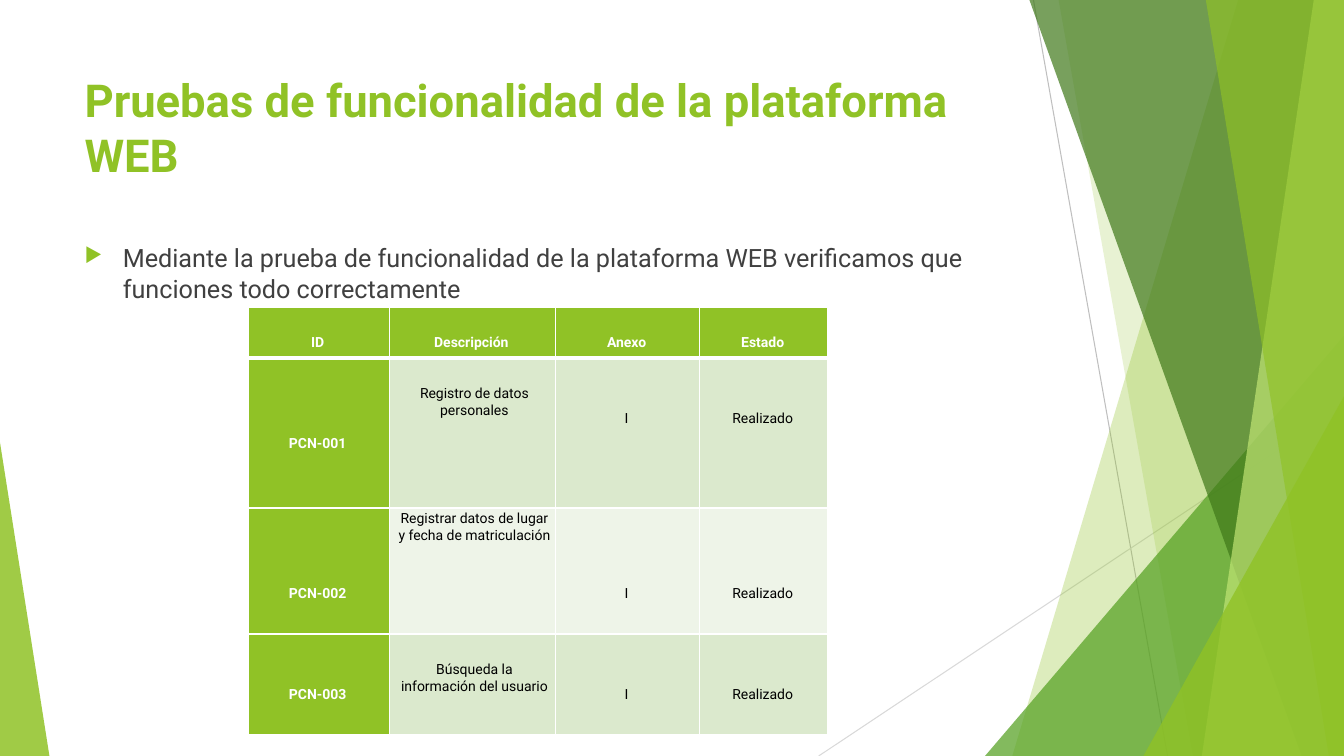
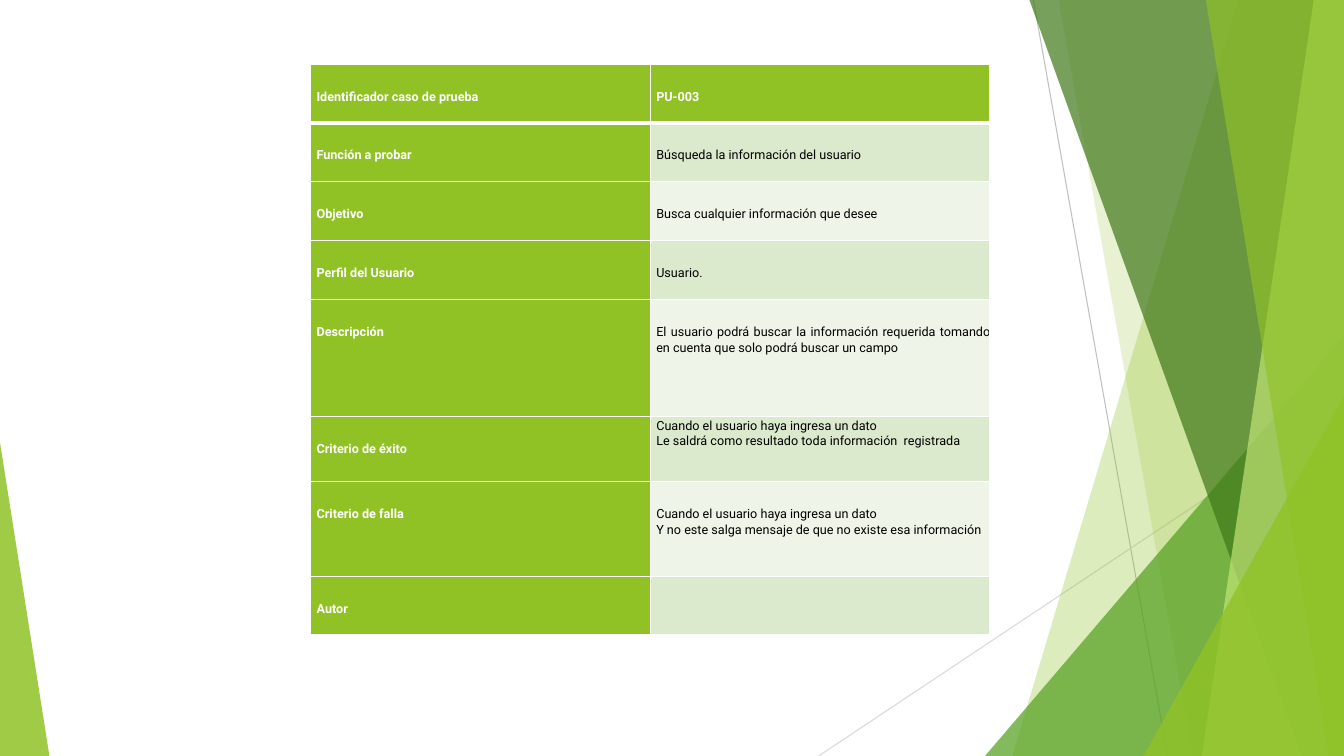
from lxml import etree
from pptx import Presentation
from pptx.dml.color import RGBColor
from pptx.enum.shapes import MSO_CONNECTOR, MSO_SHAPE
from pptx.enum.text import MSO_ANCHOR, PP_ALIGN
from pptx.oxml.ns import qn
from pptx.util import Inches, Pt

FONT = "Roboto"
WHITE = RGBColor(0xFF, 0xFF, 0xFF)
BLACK = RGBColor(0x00, 0x00, 0x00)
TEXT_GRAY = RGBColor(0x40, 0x40, 0x40)
LINE_GRAY = RGBColor(0xBF, 0xBF, 0xBF)
LIGHT_GRAY = RGBColor(0xD9, 0xD9, 0xD9)
LIME = RGBColor(0x90, 0xC2, 0x26)
PALE_LIME = RGBColor(0xC0, 0xE4, 0x74)
GREEN = RGBColor(0x54, 0xA0, 0x21)
DARK_GREEN = RGBColor(0x3F, 0x78, 0x19)
BAND_COLORS = (RGBColor(0xDB, 0xE9, 0xCD), RGBColor(0xEE, 0xF4, 0xE8))

WIDTH, HEIGHT = 13.33, 7.5

# Thin lines: start, end, colour
LINES = [
    ((10.25, 0), (11.58, HEIGHT), LINE_GRAY),
    ((WIDTH, 4.03), (8.12, HEIGHT), LIGHT_GRAY),
]
# Facets from back to front: geometry, colour, opacity in percent.
# Two numbers: top and bottom x of a band that reaches the right edge.
# Four numbers: left, top, width and apex position of a triangle on the bottom edge.
FACETS = [
    ((12.28, 10.04), LIME, 30),
    ((10.5, 11.83), LIME, 20),
    ((9.77, 3.33, 3.56, 1), GREEN, 72),
    ((10.21, 12.91), DARK_GREEN, 70),
    ((13.03, 11.92), PALE_LIME, 70),
    ((11.96, 13.18), LIME, 65),
    ((11.34, 3.93, 1.99, 1), LIME, 80),
    ((0, 4.39, 0.49, 0), LIME, 85),
]


def add_background(slide):
    for start, end, color in LINES:
        line = slide.shapes.add_connector(
            MSO_CONNECTOR.STRAIGHT, *[Inches(value) for value in start + end])
        line.line.color.rgb = color
        line.line.width = Pt(0.75)
        etree.SubElement(line._element.spPr, qn("a:effectLst"))
    for geometry, color, opacity in FACETS:
        if len(geometry) == 2:
            top_x, bottom_x = geometry
            builder = slide.shapes.build_freeform(Inches(top_x), 0)
            corners = [(WIDTH, 0), (WIDTH, HEIGHT), (bottom_x, HEIGHT)]
            builder.add_line_segments([(Inches(x), Inches(y)) for x, y in corners])
            shape = builder.convert_to_shape()
        else:
            left, top, width, apex = geometry
            shape = slide.shapes.add_shape(
                MSO_SHAPE.ISOSCELES_TRIANGLE, Inches(left), Inches(top),
                Inches(width), Inches(HEIGHT - top))
            shape.adjustments[0] = apex
        shape.shadow.inherit = False
        shape.line.fill.background()
        shape.fill.solid()
        shape.fill.fore_color.rgb = color
        color_element = shape._element.spPr.find(qn("a:solidFill"))[0]
        etree.SubElement(color_element, qn("a:alpha"), val=str(opacity * 1000))


def add_green_table(slide, left, top, widths, heights, rows, size, line_step):
    """Each cell is (text, number of text lines left free above it)."""
    table = slide.shapes.add_table(
        len(rows), len(widths), Inches(left), Inches(top),
        Inches(sum(widths)), Inches(sum(heights))).table
    for column, width in zip(table.columns, widths):
        column.width = Inches(width)
    for row, height in zip(table.rows, heights):
        row.height = Inches(height)
    for row_index, row in enumerate(rows):
        for column_index, (text, free_lines) in enumerate(row):
            cell = table.cell(row_index, column_index)
            is_heading = row_index == 0 or column_index == 0
            # White borders, thicker under the header row
            properties = cell._tc.get_or_add_tcPr()
            for side in ("lnL", "lnR", "lnT", "lnB"):
                thick = (row_index, side) in ((0, "lnB"), (1, "lnT"))
                border = etree.SubElement(
                    properties, qn("a:" + side), w=str(Pt(3 if thick else 1)))
                fill = etree.SubElement(border, qn("a:solidFill"))
                etree.SubElement(fill, qn("a:srgbClr"), val=str(WHITE))
            cell.fill.solid()
            cell.fill.fore_color.rgb = LIME if is_heading else BAND_COLORS[(row_index - 1) % 2]
            cell.margin_left, cell.margin_right = Inches(0.06), 0
            cell.margin_top = Inches(0.01 + free_lines * line_step)
            cell.margin_bottom = 0
            cell.text_frame.text = text
            for paragraph in cell.text_frame.paragraphs:
                paragraph.line_spacing = 1.07
                paragraph.font.size = Pt(size)
                for run in paragraph.runs:
                    run.font.name = FONT
                    run.font.size = Pt(size)
                    run.font.bold = is_heading
                    run.font.color.rgb = WHITE if is_heading else BLACK
    return table


presentation = Presentation()
presentation.slide_width = Inches(WIDTH)
presentation.slide_height = Inches(HEIGHT)
blank_layout = presentation.slide_layouts[6]

# Slide 1: title and bullet
slide = presentation.slides.add_slide(blank_layout)
add_background(slide)
texts = [
    ("Pruebas de funcionalidad de la plataforma WEB", 0.67, 1.44, 32.4, True, LIME),
    ("Mediante la prueba de funcionalidad de la plataforma WEB verificamos que "
     "funciones todo correctamente", 2.36, 0.7, 18, False, TEXT_GRAY),
]
for text, top, height, size, is_title, color in texts:
    box = slide.shapes.add_textbox(Inches(0.74), Inches(top), Inches(9.4), Inches(height))
    text_frame = box.text_frame
    text_frame.word_wrap = True
    text_frame.vertical_anchor = MSO_ANCHOR.TOP
    text_frame.text = text
    paragraph = text_frame.paragraphs[0]
    if not is_title:
        properties = paragraph._p.get_or_add_pPr()
        properties.set("marL", str(Inches(0.38)))
        properties.set("indent", str(Inches(-0.38)))
        bullet_color = etree.SubElement(properties, qn("a:buClr"))
        etree.SubElement(bullet_color, qn("a:srgbClr"), val=str(LIME))
        etree.SubElement(properties, qn("a:buSzPct"), val="80000")
        etree.SubElement(properties, qn("a:buChar"), char="▶")
    font = paragraph.runs[0].font
    font.name = FONT
    font.size = Pt(size)
    font.bold = is_title
    font.color.rgb = color

# Slide 1: list of tests
test_rows = [[(heading, 1) for heading in ("ID", "Descripción", "Anexo", "Estado")]]
tests = [
    ("PCN-001", 3, "Registro de datos personales", 1, 2),
    ("PCN-002", 3, "Registrar datos de lugar y fecha de matriculación", 0, 3),
    ("PCN-003", 2, "Búsqueda la información del usuario", 1, 2),
]
for identifier, identifier_lines, description, description_lines, state_lines in tests:
    test_rows.append([
        (identifier, identifier_lines), (description, description_lines),
        ("I", state_lines), ("Realizado", state_lines)])
table = add_green_table(
    slide, 2.46, 3.05, [1.4, 1.65, 1.43, 1.27], [0.5, 1.49, 1.25, 1], test_rows, 10, 0.25)
for row_index, row in enumerate(table.rows):
    for column_index, cell in enumerate(row.cells):
        is_description = row_index > 0 and column_index == 1
        cell.margin_left = Inches(0.08 if is_description else 0.06)
        cell.margin_right = Inches(0.04 if is_description else 0.08)
        cell.text_frame.paragraphs[0].alignment = PP_ALIGN.CENTER

# Slide 2: test case sheet
slide = presentation.slides.add_slide(blank_layout)
add_background(slide)
case_rows = [
    [("Identificador caso de prueba", 1), ("PU-003", 1)],
    [("Función a probar", 1), ("Búsqueda la información del usuario", 1)],
    [("Objetivo", 1), ("Busca cualquier información que desee", 1)],
    [("Perfil del Usuario", 1), ("Usuario.", 1)],
    [("Descripción", 1),
     ("El usuario podrá buscar la información requerida tomando en cuenta que solo "
      "podrá buscar un campo", 1)],
    [("Criterio de éxito", 1),
     ("Cuando el usuario haya ingresa un dato\n"
      "Le saldrá como resultado toda información  registrada", 0)],
    [("Criterio de falla", 1),
     ("Cuando el usuario haya ingresa un dato\n"
      "Y no este salga mensaje de que no existe esa información", 1)],
    [("Autor", 1), ("", 0)],
]
table = add_green_table(
    slide, 3.08, 0.64, [3.37, 3.37], [0.58, 0.58, 0.59, 0.58, 1.16, 0.65, 0.94, 0.58],
    case_rows, 9, 0.23)
for row_index in (4, 5, 6):
    for paragraph in table.cell(row_index, 1).text_frame.paragraphs:
        paragraph.alignment = PP_ALIGN.JUSTIFY

presentation.save("out.pptx")
